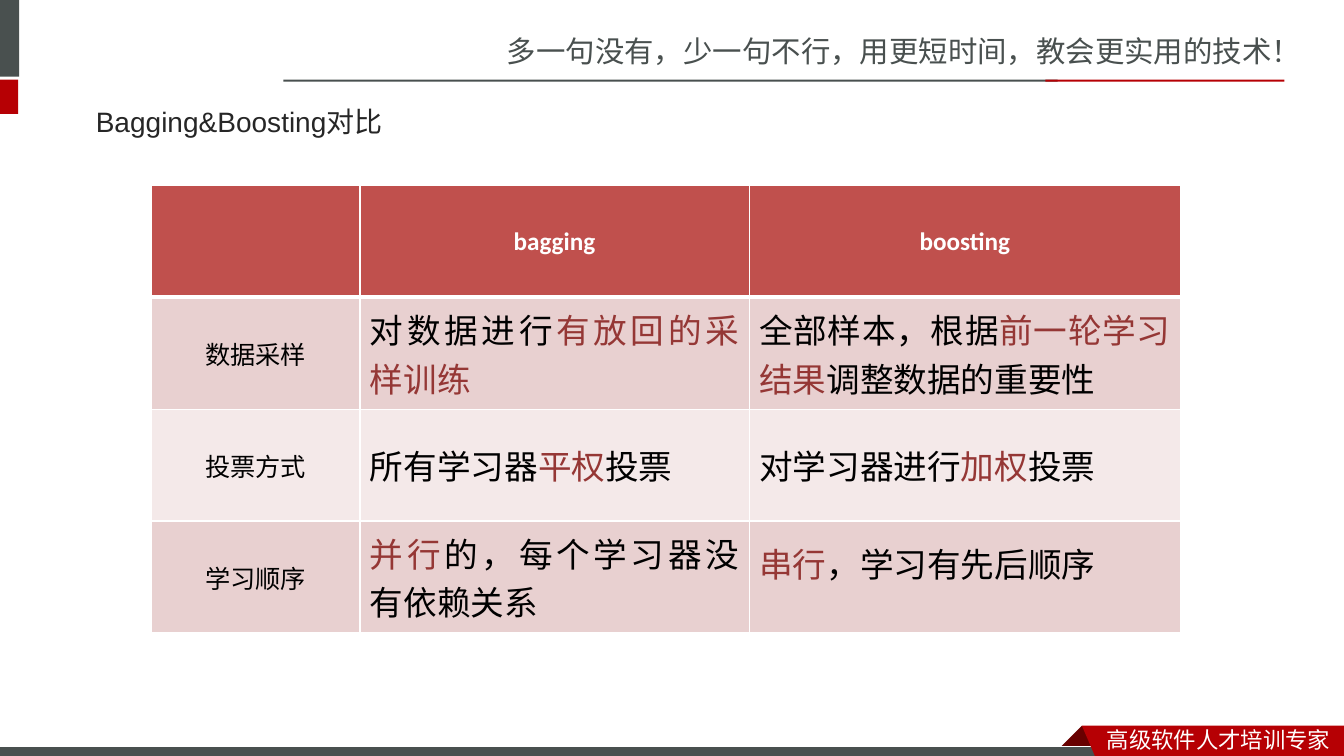
from dataclasses import dataclass

from lxml.etree import SubElement
from pptx import Presentation
from pptx.dml.color import RGBColor
from pptx.enum.shapes import MSO_SHAPE
from pptx.enum.text import MSO_ANCHOR, PP_ALIGN
from pptx.oxml.ns import qn
from pptx.util import Inches, Pt


@dataclass(frozen=True)
class Theme:
    slate: str = "49504F"
    red: str = "B60004"
    dark_red: str = "680000"
    white: str = "FFFFFF"
    black: str = "000000"
    title: str = "262626"
    accent: str = "953735"
    header: str = "C0504D"
    bands: tuple = ("E8D0D0", "F4E9E9")
    chinese: str = "Noto Sans CJK SC"
    latin: str = "Arial"
    heading: str = "Calibri"
    slogan_size: int = 21
    title_size: int = 20
    ribbon_size: int = 16
    label_size: int = 18
    body_size: int = 24


THEME = Theme()

TITLE = "Bagging&Boosting对比"
SLOGAN = "多一句没有，少一句不行，用更短时间，教会更实用的技术！"
RIBBON = "高级软件人才培训专家"
HEADERS = ("", "bagging", "boosting")
ROWS = [
    ("数据采样",
     [("对数据进行", False), ("有放回的采样训练", True)],
     [("全部样本，根据", False), ("前一轮学习结果", True), ("调整数据的重要性", False)]),
    ("投票方式",
     [("所有学习器", False), ("平权", True), ("投票", False)],
     [("对学习器进行", False), ("加权", True), ("投票", False)]),
    ("学习顺序",
     [("并行", True), ("的，每个学习器没有依赖关系", False)],
     [("串行", True), ("，学习有先后顺序", False)]),
]

# Lengths are percentages of the slide's width and height.
BARS = [
    ((0, 0, 1.43, 10.13), THEME.slate),
    ((0, 10.53, 1.35, 4.53), THEME.red),
    ((21.08, 10.53, 57.61, 0.27), THEME.slate),
    ((77.79, 10.53, 17.78, 0.27), THEME.red),
]
FOOTER_BAR = (0, 98.8, 82.45, 1.6)
FOLD = [(80.5, 96), (82.15, 98.93), (82.07, 99.07), (78.92, 99.07), (78.84, 98.93)]
RIBBON_OUTLINE = [(80.5, 96), (100, 96), (100, 100), (81.47, 100)]
SLOGAN_BOX = (36.98, 3.73, 63.02, 6.27)
RIBBON_BOX = (81.62, 95.33, 18.38, 4.93)
TITLE_BOX = (5.85, 12.27, 52.96, 7.6)
TABLE_ORIGIN = (11.25, 24.53)
COLUMNS = (15.53, 28.96, 32.11)
ROW_HEIGHT = 14.8

presentation = Presentation()
presentation.slide_width = Inches(13.33)
presentation.slide_height = Inches(7.5)
slide = presentation.slides.add_slide(presentation.slide_layouts[5])


def across(share):
    return round(presentation.slide_width * share / 100)


def down(share):
    return round(presentation.slide_height * share / 100)


def place(box):
    left, top, width, height = box
    return across(left), down(top), across(width), down(height)


def add_run(paragraph, text, size, color, font=THEME.chinese, bold=False):
    run = paragraph.add_run()
    run.text = text
    run.font.size = Pt(size)
    run.font.bold = bold
    run.font.name = font
    run.font.color.rgb = RGBColor.from_string(color)
    SubElement(run.font._element, qn("a:ea")).set("typeface", THEME.chinese)


def paint(shape, color, outlined=False):
    shape.shadow.inherit = False
    shape.fill.solid()
    shape.fill.fore_color.rgb = RGBColor.from_string(color)
    if outlined:
        shape.line.color.rgb = RGBColor.from_string(THEME.white)
        shape.line.width = Pt(0.75)
    else:
        shape.line.fill.background()


def add_bar(box, color, outlined=False):
    paint(slide.shapes.add_shape(MSO_SHAPE.RECTANGLE, *place(box)), color, outlined)


def add_outline(points, color):
    corners = [(across(x), down(y)) for x, y in points]
    builder = slide.shapes.build_freeform(*corners[0])
    builder.add_line_segments(corners[1:], close=True)
    paint(builder.convert_to_shape(), color)


def add_label(box, text, size, color):
    frame = slide.shapes.add_textbox(*place(box)).text_frame
    frame.word_wrap = True
    add_run(frame.paragraphs[0], text, size, color)


def style_cell(cell, fill, bottom_width=1):
    cell.vertical_anchor = MSO_ANCHOR.MIDDLE
    properties = cell._tc.get_or_add_tcPr()
    for side in ("lnL", "lnR", "lnT", "lnB"):
        width = bottom_width if side == "lnB" else 1
        line = SubElement(properties, qn(f"a:{side}"), w=str(Pt(width)))
        SubElement(SubElement(line, qn("a:solidFill")), qn("a:srgbClr"), val=THEME.white)
    cell.fill.solid()
    cell.fill.fore_color.rgb = RGBColor.from_string(fill)


def add_comparison():
    row_count = len(ROWS) + 1
    box = (*TABLE_ORIGIN, sum(COLUMNS), ROW_HEIGHT * row_count)
    table = slide.shapes.add_table(row_count, len(COLUMNS), *place(box)).table
    for column, share in zip(table.columns, COLUMNS):
        column.width = across(share)
    for row in table.rows:
        row.height = down(ROW_HEIGHT)
    for index, text in enumerate(HEADERS):
        cell = table.cell(0, index)
        style_cell(cell, THEME.header, 3)
        paragraph = cell.text_frame.paragraphs[0]
        paragraph.alignment = PP_ALIGN.CENTER
        if text:
            add_run(paragraph, text, THEME.label_size, THEME.white, THEME.heading, True)
    for row_index, (label, *descriptions) in enumerate(ROWS, 1):
        cells = [table.cell(row_index, index) for index in range(len(COLUMNS))]
        for cell in cells:
            style_cell(cell, THEME.bands[(row_index - 1) % 2])
        paragraph = cells[0].text_frame.paragraphs[0]
        paragraph.alignment = PP_ALIGN.CENTER
        add_run(paragraph, label, THEME.label_size, THEME.black, THEME.latin)
        for cell, runs in zip(cells[1:], descriptions):
            paragraph = cell.text_frame.paragraphs[0]
            paragraph.alignment = PP_ALIGN.JUSTIFY
            for text, highlighted in runs:
                color = THEME.accent if highlighted else THEME.black
                add_run(paragraph, text, THEME.body_size, color, THEME.latin)
    table.cell(row_count - 1, len(COLUMNS) - 1).margin_bottom = Inches(0.33)


def main():
    for box, color in BARS:
        add_bar(box, color)
    add_outline(FOLD, THEME.dark_red)
    add_bar(FOOTER_BAR, THEME.slate, outlined=True)
    add_outline(RIBBON_OUTLINE, THEME.red)
    add_label(SLOGAN_BOX, SLOGAN, THEME.slogan_size, THEME.slate)
    add_label(RIBBON_BOX, RIBBON, THEME.ribbon_size, THEME.white)
    title = slide.shapes.title
    title.left, title.top, title.width, title.height = place(TITLE_BOX)
    frame = title.text_frame
    frame.margin_left = Inches(0.17)
    frame.vertical_anchor = MSO_ANCHOR.MIDDLE
    frame.paragraphs[0].alignment = PP_ALIGN.LEFT
    add_run(frame.paragraphs[0], TITLE, THEME.title_size, THEME.title, THEME.latin)
    add_comparison()
    presentation.save("out.pptx")


if __name__ == "__main__":
    main()
